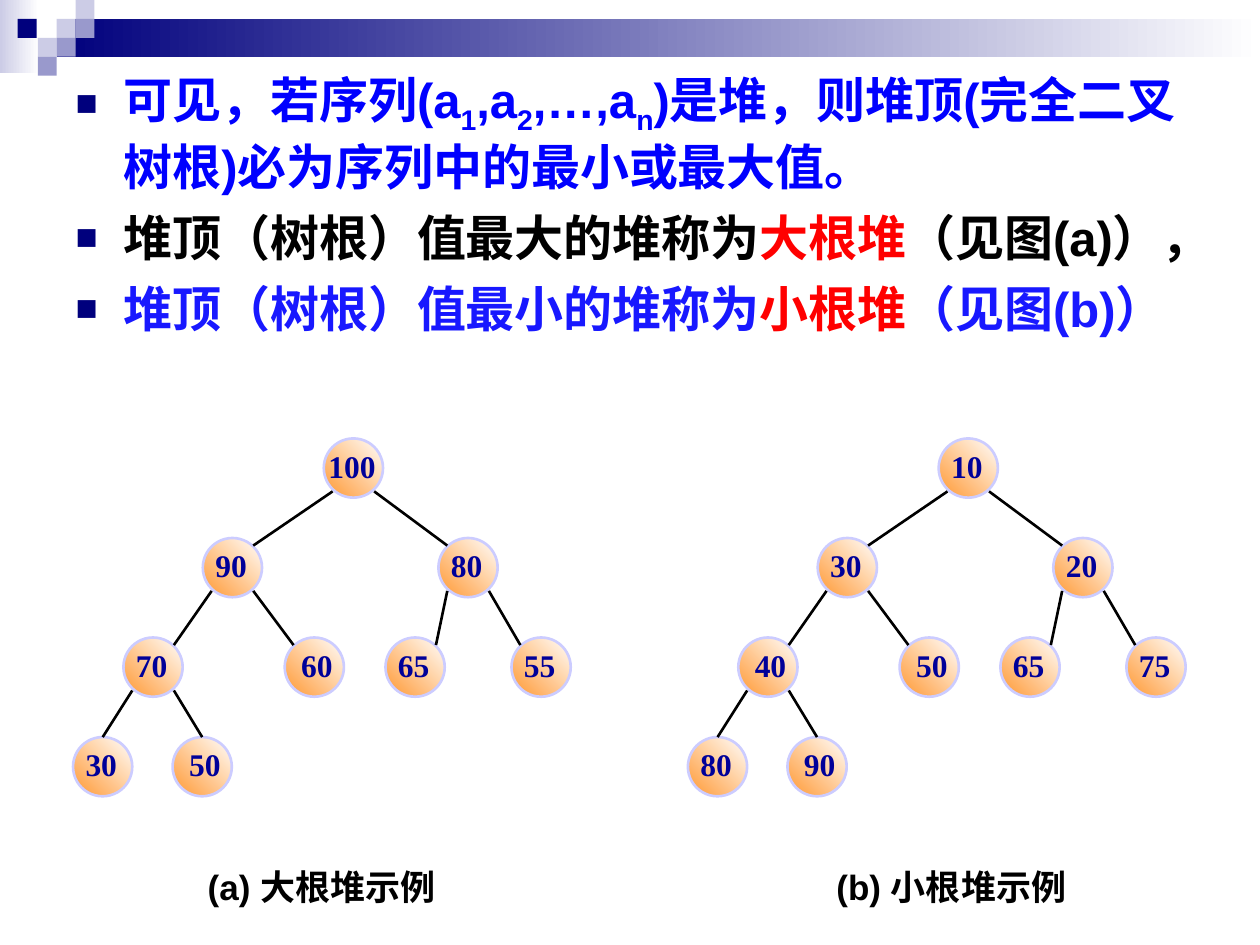
from lxml.etree import SubElement
from pptx import Presentation
from pptx.dml.color import RGBColor
from pptx.enum.shapes import MSO_CONNECTOR, MSO_SHAPE
from pptx.enum.text import MSO_ANCHOR, MSO_AUTO_SIZE, PP_ALIGN
from pptx.oxml.ns import qn
from pptx.util import Inches, Pt

NAVY, LILAC, PERIWINKLE = "00007D", "CCCCE6", "9999CC"
BLUE, BRIGHT_BLUE, RED, BLACK, WHITE = "0000FF", "1818FF", "FF0000", "000000", "FFFFFF"

SQUARES = [
    (0.45, 0.15, LILAC), (0.6, 0, LILAC), (0.6, 0.15, PERIWINKLE),
    (0.3, 0.3, LILAC), (0.14, 0.15, NAVY), (0.45, 0.3, PERIWINKLE),
    (0.3, 0.45, PERIWINKLE),
]
STATEMENTS = [
    [("可见，若序列(a", BLUE, 0), ("1", BLUE, -25), (",a", BLUE, 0),
     ("2", BLUE, -25), (",…,a", BLUE, 0), ("n", BLUE, -25),
     (")是堆，则堆顶(完全二叉树根)必为序列中的最小或最大值。", BLUE, 0)],
    [("堆顶（树根）值最大的堆称为", BLACK, 0), ("大根堆", RED, 0),
     ("（见图(a)），", BLACK, 0)],
    [("堆顶（树根）值最小的堆称为", BRIGHT_BLUE, 0), ("小根堆", RED, 0),
     ("（见图(b)）", BRIGHT_BLUE, 0)],
]
NODE_LEFTS = [2.57, 1.61, 3.48, 0.98, 2.26, 3.06, 4.06, 0.58, 1.37]
ROOT_TOP, LEVEL_STEP = 3.48, 0.79
HEAPS = [
    (0, ["100 ", "90 ", "80 ", "70 ", "60", "65 ", "55 ", "30 ", "50"],
     "(a) 大根堆示例", 1.55),
    (4.88, ["10 ", "30 ", "20 ", "40", "50", "65 ", "75 ", "80 ", "90"],
     "(b) 小根堆示例", 6.54),
]


def color(hex_code):
    return RGBColor.from_string(hex_code)


def write(paragraph, text, size=18, font="Arial", fill=BLACK, bold=True, baseline=0):
    run = paragraph.add_run()
    run.text = text
    run.font.size = Pt(size)
    run.font.name = font
    run.font.bold = bold
    run.font.color.rgb = color(fill)
    if baseline:
        run.font._element.set("baseline", str(baseline * 1000))


class HeapSlide:
    node_size = 0.47
    near, far = 0.07, 0.4
    upper, lower = 0.06, 0.42
    caption_width = 2.1

    def __init__(self, slide):
        self.slide = slide

    def gradient(self, shape, start, end, angle=0):
        shape.fill.gradient()
        shape.fill.gradient_angle = angle
        for stop, hex_code in zip(shape.fill.gradient_stops, (start, end)):
            stop.color.rgb = color(hex_code)

    def shape(self, kind, left, top, width, height):
        shape = self.slide.shapes.add_shape(
            kind, Inches(left), Inches(top), Inches(width), Inches(height))
        shape.shadow.inherit = False
        return shape

    def block(self, left, top, width, height, fill, fade_to=None):
        block = self.shape(MSO_SHAPE.RECTANGLE, left, top, width, height)
        block.line.fill.background()
        if fade_to:
            self.gradient(block, fill, fade_to)
        else:
            block.fill.solid()
            block.fill.fore_color.rgb = color(fill)

    def bullet(self, paragraph):
        properties = paragraph._p.get_or_add_pPr()
        properties.set("marL", str(Inches(0.38)))
        properties.set("indent", str(Inches(-0.38)))
        bullet_color = SubElement(properties, qn("a:buClr"))
        SubElement(bullet_color, qn("a:srgbClr"), val=NAVY)
        SubElement(properties, qn("a:buSzPct"), val="75000")
        SubElement(properties, qn("a:buFont"), typeface="Arial")
        SubElement(properties, qn("a:buChar"), char="■")

    def statements(self, paragraphs):
        body = self.slide.placeholders[1]
        body.element.getparent().append(body.element)
        body.left, body.top = Inches(0.5), Inches(0.5)
        body.width, body.height = Inches(9), Inches(7)
        frame = body.text_frame
        frame.auto_size = MSO_AUTO_SIZE.NONE
        frame.vertical_anchor = MSO_ANCHOR.TOP
        for index, parts in enumerate(paragraphs):
            paragraph = frame.add_paragraph() if index else frame.paragraphs[0]
            self.bullet(paragraph)
            paragraph.space_before = Pt(7 if index else 0)
            for text, fill, baseline in parts:
                write(paragraph, text, size=28, fill=fill, baseline=baseline)

    def node(self, left, top, value):
        node = self.shape(MSO_SHAPE.OVAL, left, top, self.node_size, self.node_size)
        self.gradient(node, "FF9933", WHITE, angle=45)
        node.line.color.rgb = color("CCCCFF")
        node.line.width = Pt(1.5)
        frame = node.text_frame
        frame.word_wrap = False
        frame.vertical_anchor = MSO_ANCHOR.MIDDLE
        frame.margin_left, frame.margin_top = Inches(0.14), Inches(0.01)
        frame.margin_right, frame.margin_bottom = Inches(0.1), Inches(0.05)
        frame.paragraphs[0].alignment = PP_ALIGN.CENTER
        write(frame.paragraphs[0], value, font="Times New Roman", fill="000099")
        return node

    def edge(self, parent, child, is_left, to_top):
        parent_x, child_x = (self.near, self.far) if is_left else (self.far, self.near)
        edge = self.slide.shapes.add_connector(
            MSO_CONNECTOR.STRAIGHT,
            parent.left + Inches(parent_x), parent.top + Inches(self.lower),
            child.left + Inches(child_x), child.top + Inches(self.upper))
        if to_top:
            edge.end_connect(child, 0)
        edge.line.color.rgb = color(BLACK)
        edge.line.width = Pt(1.5)
        SubElement(edge._element.spPr, qn("a:effectLst"))

    def heap(self, shift, values):
        nodes = []
        for index, (left, value) in enumerate(zip(NODE_LEFTS, values)):
            level = (index + 1).bit_length() - 1
            nodes.append(self.node(left + shift, ROOT_TOP + level * LEVEL_STEP, value))
        for index in range(1, len(nodes)):
            self.edge(nodes[(index - 1) // 2], nodes[index],
                      is_left=index % 2 == 1, to_top=index >= 7)

    def caption(self, text, left):
        box = self.slide.shapes.add_textbox(
            Inches(left), Inches(6.82), Inches(self.caption_width), Inches(0.44))
        box.text_frame.word_wrap = False
        box.text_frame.auto_size = MSO_AUTO_SIZE.SHAPE_TO_FIT_TEXT
        write(box.text_frame.paragraphs[0], text, size=20)


def main():
    deck = Presentation()
    deck.slide_width, deck.slide_height = Inches(10), Inches(7.5)
    slide = deck.slides.add_slide(deck.slide_layouts[1])
    title = slide.shapes.title.element
    title.getparent().remove(title)
    page = HeapSlide(slide)
    page.block(0, 0, 0.31, 0.58, LILAC, fade_to=WHITE)
    page.block(0.45, 0.15, 9.55, 0.3, NAVY, fade_to=WHITE)
    for left, top, fill in SQUARES:
        page.block(left, top, 0.15, 0.15, fill)
    page.statements(STATEMENTS)
    for shift, values, _, _ in HEAPS:
        page.heap(shift, values)
    for _, _, text, left in HEAPS:
        page.caption(text, left)
    deck.save("out.pptx")


if __name__ == "__main__":
    main()
